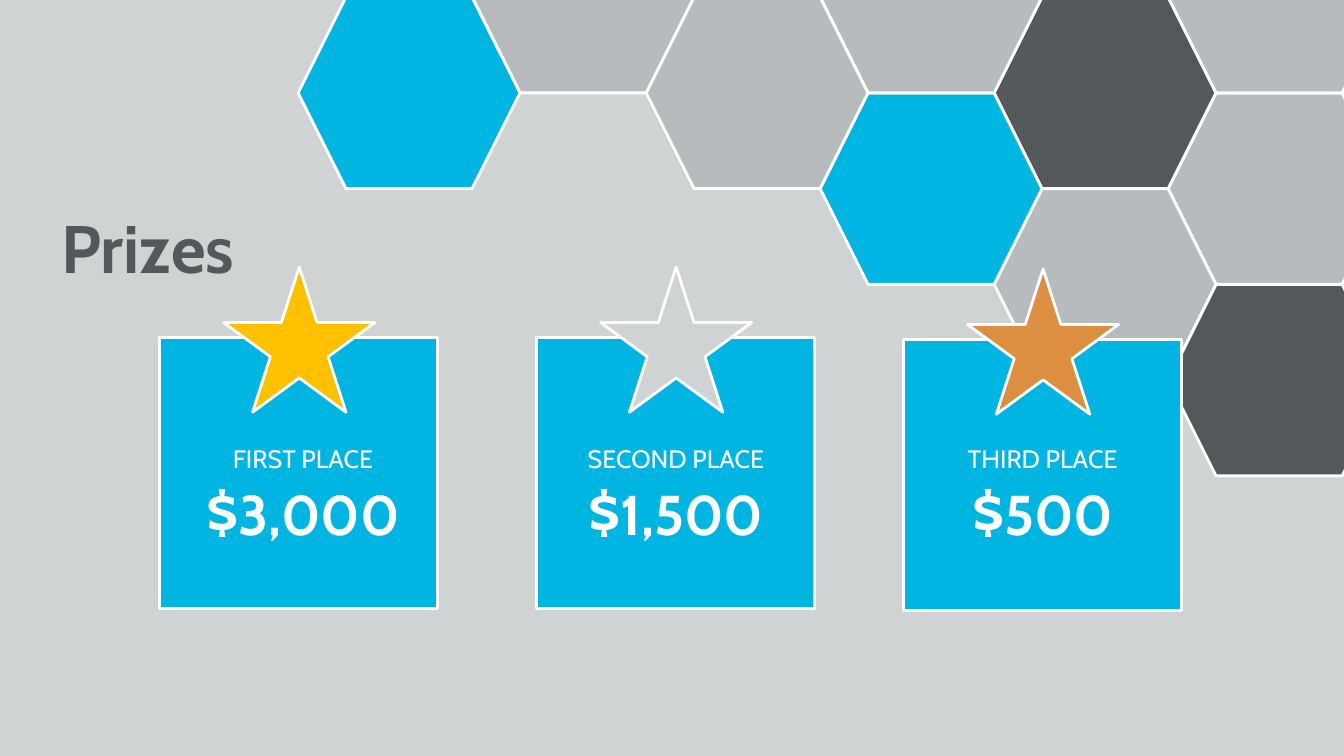
from pptx import Presentation
from pptx.dml.color import RGBColor
from pptx.enum.shapes import MSO_SHAPE
from pptx.enum.text import MSO_ANCHOR, MSO_AUTO_SIZE, PP_ALIGN
from pptx.util import Pt

HEXAGON = MSO_SHAPE.HEXAGON
SQUARE = MSO_SHAPE.RECTANGLE
STAR = MSO_SHAPE.STAR_5_POINT
CENTER = PP_ALIGN.CENTER
TOP = MSO_ANCHOR.TOP
GROW = MSO_AUTO_SIZE.SHAPE_TO_FIT_TEXT

COLORS = {
    "background": "D0D3D4",
    "gray": "B7BBBD",
    "dark": "54585A",
    "blue": "00B5E2",
    "white": "FFFFFF",
    "gold": "FFC000",
    "silver": "D0D3D4",
    "bronze": "DD8F41",
}


def add_outlined(group, kind, left, top, width, height, color):
    shape = group.shapes.add_shape(kind, Pt(left), Pt(top), Pt(width), Pt(height))
    shape.shadow.inherit = False
    shape.fill.solid()
    shape.fill.fore_color.rgb = RGBColor.from_string(COLORS[color])
    shape.line.color.rgb = RGBColor.from_string(COLORS["white"])
    shape.line.width = Pt(2)


def add_text(paragraph, text, size, bold, color):
    paragraph.alignment = CENTER
    run = paragraph.add_run()
    run.text = text
    font_format = {"name": "Cabin", "size": Pt(size), "bold": bold}
    for attribute, value in font_format.items():
        setattr(run.font, attribute, value)
    run.font.color.rgb = RGBColor.from_string(COLORS[color])


prs = Presentation()
prs.slide_width = Pt(960)
prs.slide_height = Pt(540)
slide = prs.slides.add_slide(prs.slide_layouts[5])
slide.background.fill.solid()
slide.background.fill.fore_color.rgb = RGBColor.from_string(COLORS["background"])

heading = slide.shapes.title
heading_box = {"left": 36, "top": 144, "width": 139, "height": 65.5}
for attribute, value in heading_box.items():
    setattr(heading, attribute, Pt(value))
heading_format = {"word_wrap": False, "auto_size": GROW, "vertical_anchor": TOP}
for attribute, value in heading_format.items():
    setattr(heading.text_frame, attribute, value)
add_text(heading.text_frame.paragraphs[0], "Prizes", 48, True, "dark")

HEX_WIDTH, HEX_HEIGHT = 158.4, 136.8
COLUMN_STEP = 124.3
honeycomb = slide.shapes.add_group_shape()
cells = [
    (5, 1, "gray"),
    (4, 0, "dark"),
    (4, 2, "gray"),
    (3, 1, "blue"),
    (5, 3, "dark"),
    (5, -1, "gray"),
    (3, -1, "gray"),
    (2, 0, "gray"),
    (1, -1, "gray"),
    (0, 0, "blue"),
]
for column, half_row, color in cells:
    left = 213 + column * COLUMN_STEP
    top = -2 + half_row * HEX_HEIGHT / 2
    add_outlined(honeycomb, HEXAGON, left, top, HEX_WIDTH, HEX_HEIGHT, color)

prizes = [
    ("FIRST PLACE", "3,000", "gold", 113.8, 241.2, 135.4),
    ("SECOND PLACE", "1,500", "silver", 383, 241.2, 401.8),
    ("THIRD PLACE", "500", "bronze", 645.1, 242.6, 663.8),
]
for place, amount, medal, left, top, text_left in prizes:
    card = slide.shapes.add_group_shape()
    add_outlined(card, SQUARE, left, top, 198.7, 193.7, "blue")
    add_outlined(card, STAR, left + 46, top - 50.4, 108, 103.7, medal)
    award = card.shapes.add_textbox(Pt(text_left), Pt(313.2), Pt(162), Pt(85))
    award.text_frame.word_wrap = True
    award.text_frame.auto_size = GROW
    add_text(award.text_frame.paragraphs[0], place, 18, False, "white")
    amount_line = award.text_frame.add_paragraph()
    add_text(amount_line, "$", 44, True, "white")
    add_text(amount_line, amount, 40, True, "white")

prs.save("out.pptx")
